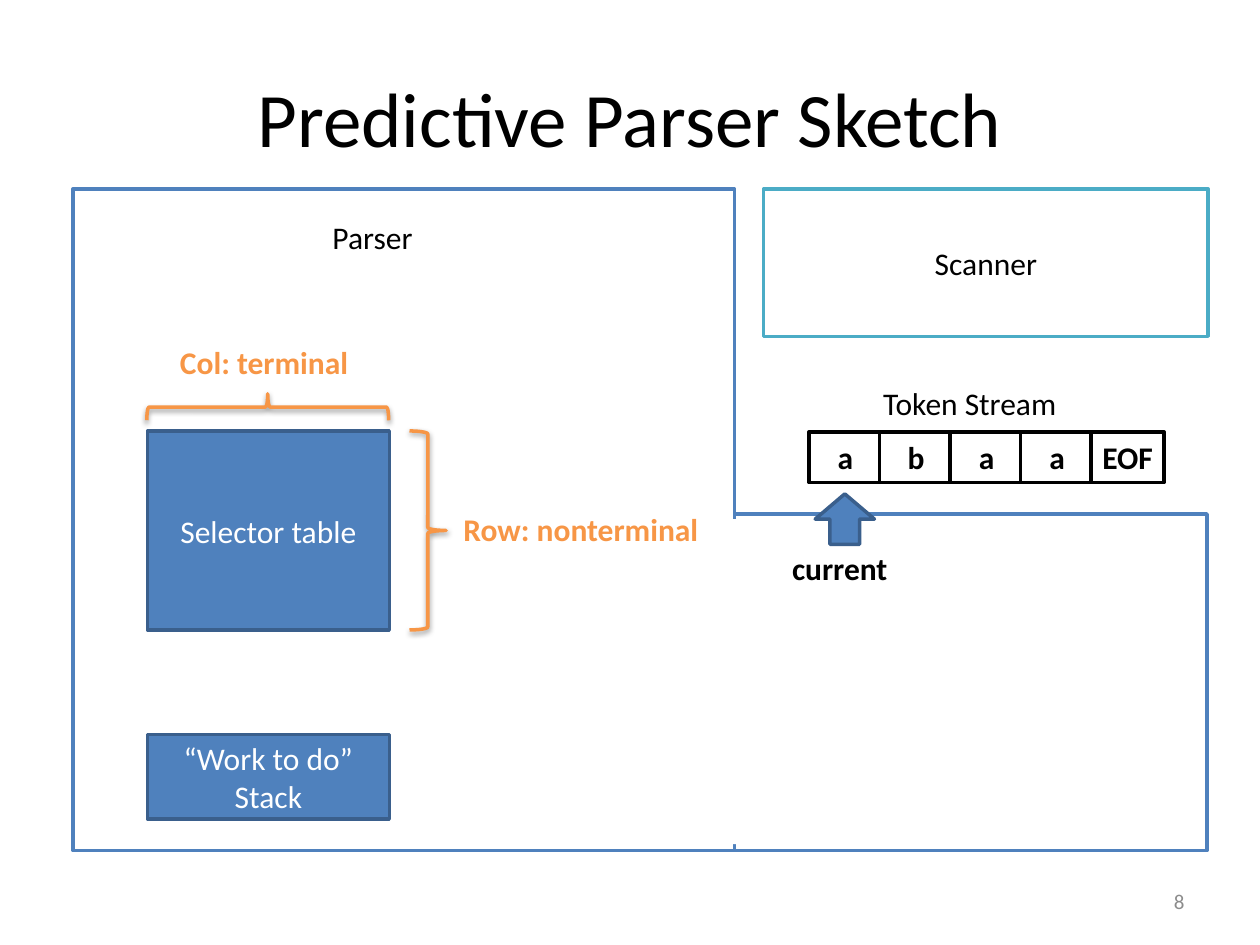
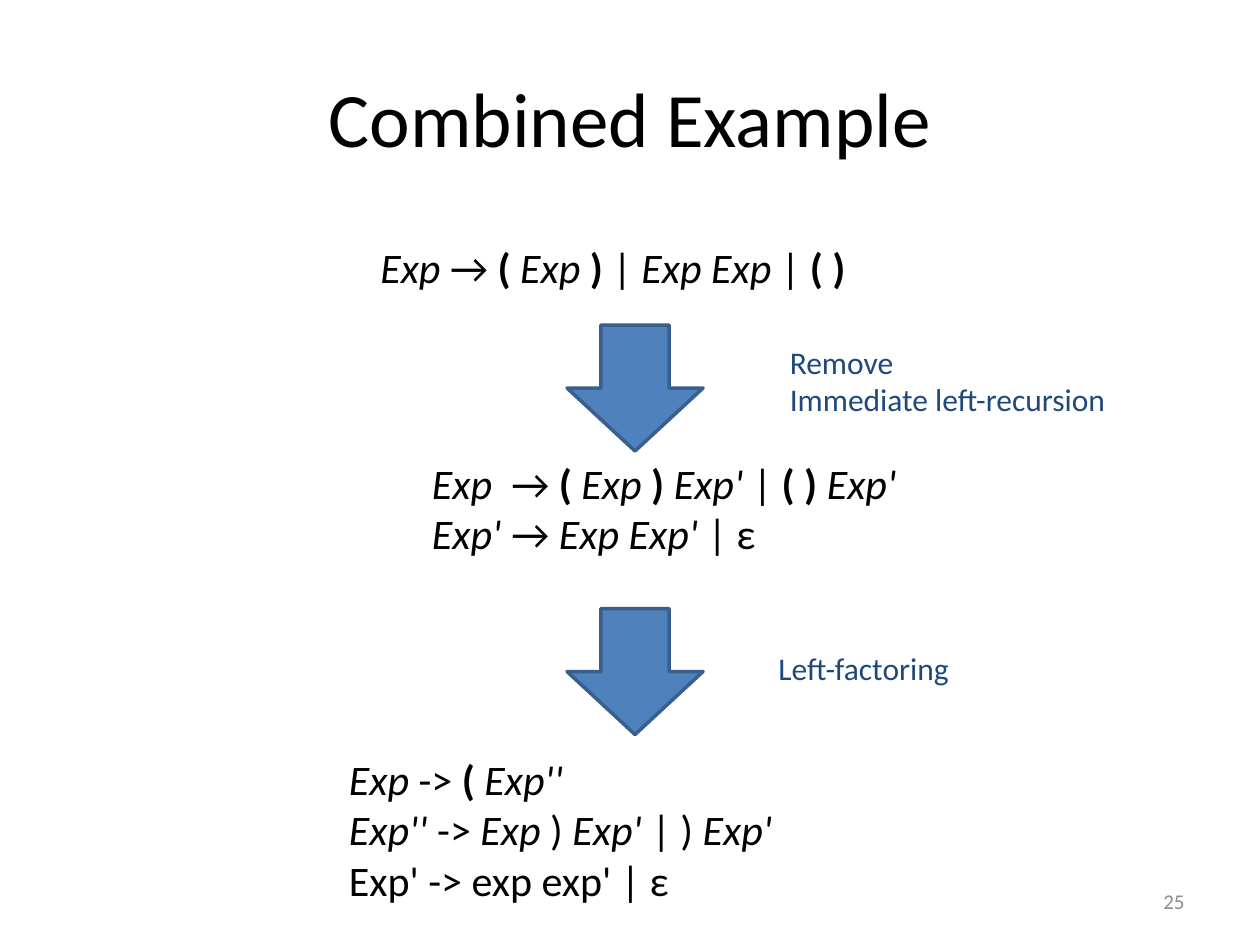
from lxml import etree
from pptx import Presentation
from pptx.dml.color import RGBColor
from pptx.enum import shapes, text
from pptx.oxml import ns
from pptx.util import Inches, Pt

HUES = {
    "black": "000000", "white": "FFFFFF", "blue": "4F81BD", "edge": "3A5F8C",
    "teal": "4BACC6", "orange": "F79646", "navy": "1F497D", "gray": "8C8C8C",
}
FONT = "Calibri"
KIND = shapes.MSO_SHAPE
SIDE = text.PP_ALIGN
MID = text.MSO_ANCHOR.MIDDLE
TOP = text.MSO_ANCHOR.TOP


def hue(name):
    return RGBColor.from_string(HUES[name])


class Deck:
    def __init__(self):
        self.prs = Presentation()
        self.prs.slide_width = Inches(10)
        self.prs.slide_height = Inches(7.5)
        self.slide = None

    def page(self, title, number):
        self.slide = self.prs.slides.add_slide(self.prs.slide_layouts[5])
        head = self.slide.shapes.title
        head.left, head.top = Inches(0.5), Inches(0.3)
        head.width, head.height = Inches(9), Inches(1.25)
        self.letter(head, [title], 44, "black", SIDE.CENTER, anchor=MID)
        self.label([number], 7.17, 6.95, 2.33, 0.4, size=12, color="gray",
                   align=SIDE.RIGHT, anchor=MID)

    def letter(self, shape, lines, size, color, align, bold=False, anchor=TOP, tab=None):
        """Fill a shape; a line is a string or a list of (text, marks), marks from "b" and "i"."""
        frame = shape.text_frame
        frame.vertical_anchor = anchor
        for n, line in enumerate(lines):
            para = frame.add_paragraph() if n else frame.paragraphs[0]
            para.alignment = align
            if tab:
                stops = etree.SubElement(para._p.get_or_add_pPr(), ns.qn("a:tabLst"))
                etree.SubElement(stops, ns.qn("a:tab"), pos=str(Inches(tab)), algn="l")
            if isinstance(line, str):
                line = [(line, "b" if bold else "")]
            for words, marks in line:
                run = para.add_run()
                run.text = words
                font = run.font
                font.name, font.size = FONT, Pt(size)
                font.color.rgb = hue(color)
                font.bold, font.italic = "b" in marks, "i" in marks

    def label(self, lines, x, y, w, h, size=18, color="black", align=SIDE.LEFT,
              bold=False, anchor=TOP, wrap=True, tab=None):
        box = self.slide.shapes.add_textbox(Inches(x), Inches(y), Inches(w), Inches(h))
        box.text_frame.word_wrap = wrap
        self.letter(box, lines, size, color, align, bold, anchor, tab)

    def shape(self, kind, x, y, w, h, fill="white", line=None):
        item = self.slide.shapes.add_shape(kind, Inches(x), Inches(y), Inches(w), Inches(h))
        item.shadow.inherit = False
        if fill:
            item.fill.solid()
            item.fill.fore_color.rgb = hue(fill)
        else:
            item.fill.background()
        if line:
            item.line.color.rgb = hue(line)
            item.line.width = Pt(2)
        else:
            item.line.fill.background()
        return item

    def box(self, lines, x, y, w, h, fill="white", line="blue", color="black",
            bold=False, inset=0.1):
        item = self.shape(KIND.RECTANGLE, x, y, w, h, fill, line)
        frame = item.text_frame
        frame.word_wrap = True
        frame.margin_left = frame.margin_right = Inches(inset)
        self.letter(item, lines, 18, color, SIDE.CENTER, bold, MID)

    def arrow(self, kind, x, y, w, h):
        self.shape(kind, x, y, w, h, "blue", "edge")

    def brace(self, x, y, w, h, turn=0):
        item = self.shape(KIND.RIGHT_BRACE, x, y, w, h, None, "orange")
        item.rotation = turn
        glow = item._element.spPr.find(ns.qn("a:effectLst"))
        cast = etree.SubElement(glow, ns.qn("a:outerShdw"), blurRad=str(Pt(3.1)),
                                dist=str(Pt(1.6)), dir="5400000", rotWithShape="0")
        tint = etree.SubElement(cast, ns.qn("a:srgbClr"), val=HUES["black"])
        etree.SubElement(tint, ns.qn("a:alpha"), val="38000")


def sketch(deck):
    deck.page("Predictive Parser Sketch", "8")

    # The parser is an L: two frames with a patch over their shared edge
    deck.shape(KIND.RECTANGLE, 5.66, 4.08, 3.92, 2.67, line="blue")
    deck.shape(KIND.RECTANGLE, 0.58, 1.5, 5.25, 5.25, line="blue")
    deck.shape(KIND.RECTANGLE, 5.66, 4.12, 0.4, 2.58)
    deck.label(["Parser"], 2.54, 1.68, 1.71, 0.4)
    deck.box(["Scanner"], 6.06, 1.5, 3.53, 1.17, line="teal")

    for lines, y, h in ((["Selector table"], 3.42, 1.58),
                        (["“Work to do”", "Stack"], 5.83, 0.67)):
        deck.box(lines, 1.17, y, 1.92, h, "blue", "edge", "white")

    deck.brace(3.25, 3.42, 0.29, 1.58)
    deck.brace(2.02, 2.27, 0.21, 1.92, turn=270)
    for words, x, y, w in (("Row: nonterminal", 3.58, 4, 2.08),
                           ("Col: terminal", 1.33, 2.67, 1.55)):
        deck.label([words], x, y, w, 0.4, color="orange", bold=True, wrap=False)

    deck.label(["Token Stream"], 6.91, 3, 1.59, 0.4, wrap=False)
    for n, token in enumerate(("a", "b", "a", "a", "EOF")):
        deck.box([token], 6.42 + 0.56 * n, 3.43, 0.58, 0.4, line="black",
                 bold=True, inset=0.05)
    deck.arrow(KIND.UP_ARROW, 6.47, 3.92, 0.47, 0.4)
    deck.label(["current"], 6.06, 4.31, 1.21, 0.4, align=SIDE.CENTER, bold=True)


def example(deck):
    deck.page("Combined Example", "25")
    for y in (2.58, 4.83):
        deck.arrow(KIND.DOWN_ARROW, 4.5, y, 1.08, 1)

    first = [[("Exp ", "i"), ("→ ", ""), ("( ", "b"), ("Exp ", "i"), (")", "b"),
              (" | ", ""), ("Exp Exp", "i"), (" | ", ""), ("( )", "b")]]
    second = [
        [("Exp", "i"), ("\t→ ", ""), ("( ", "b"), ("Exp ", "i"), (") ", "b"),
         ("Exp'", "i"), (" | ", ""), ("( ) ", "b"), ("Exp'", "i")],
        [("Exp'", "i"), ("\t→ ", ""), ("Exp Exp'", "i"), (" | ε", "")],
    ]
    third = [
        [("Exp ", "i"), ("-> ", ""), ("( ", "b"), ("Exp''", "i")],
        [("Exp''", "i"), (" -> ", ""), ("Exp ", "i"), (") ", ""), ("Exp'", "i"),
         (" | ) ", ""), ("Exp'", "i")],
        "Exp' -> exp exp' | ε",
    ]
    deck.label(first, 2.92, 1.87, 5.67, 0.5, size=24, anchor=MID)
    deck.label(second, 3.33, 3.58, 5, 0.91, size=24, tab=0.63)
    deck.label(third, 2.67, 5.93, 5.92, 1.31, size=24)

    for lines, x, y, w, h in ((["Remove", "Immediate left-recursion"], 6.17, 2.67, 2.75, 0.71),
                              (["Left-factoring"], 6.08, 5.1, 1.58, 0.4)):
        deck.label(lines, x, y, w, h, color="navy", wrap=False)


def main():
    deck = Deck()
    sketch(deck)
    example(deck)
    deck.prs.save("out.pptx")


if __name__ == "__main__":
    main()
